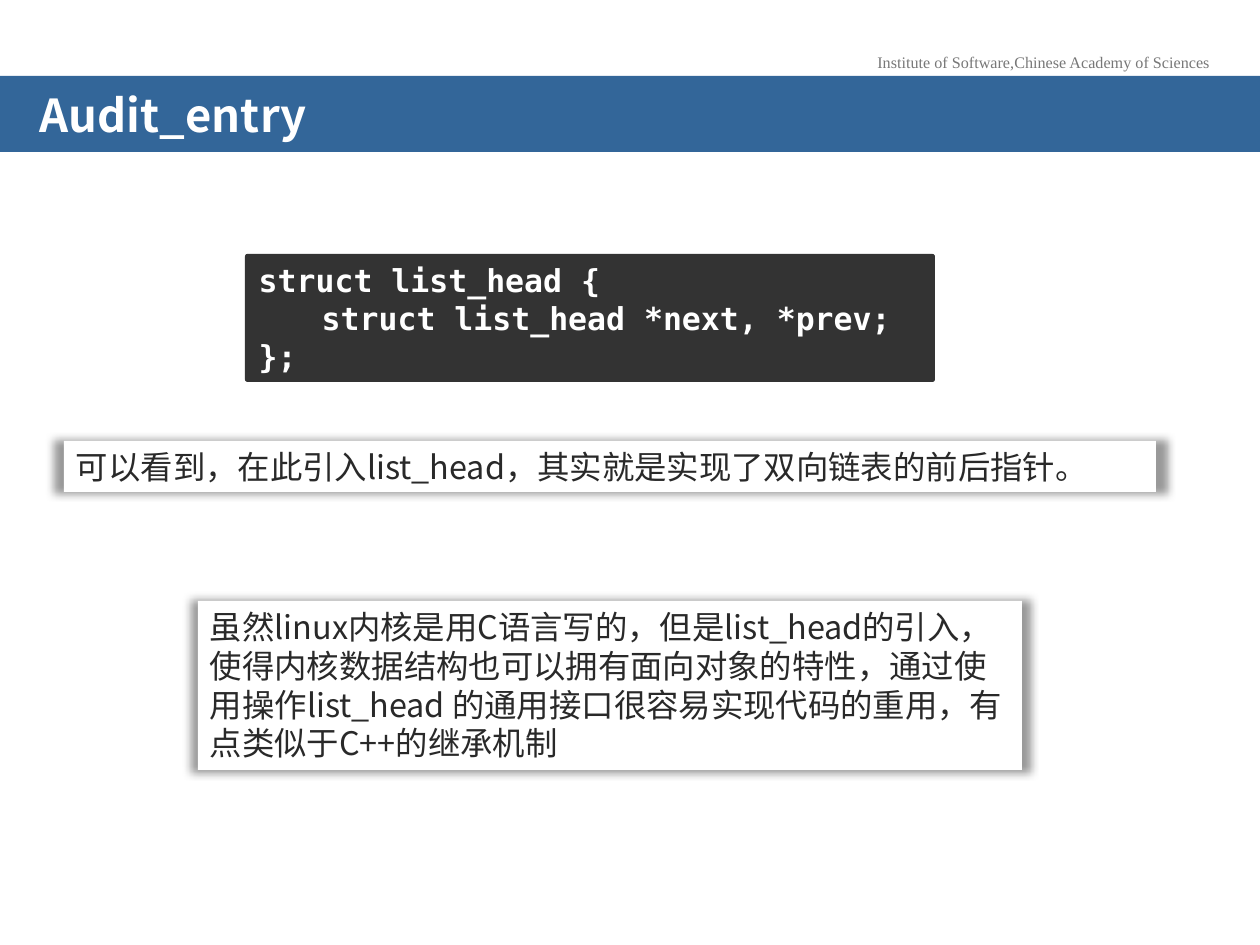
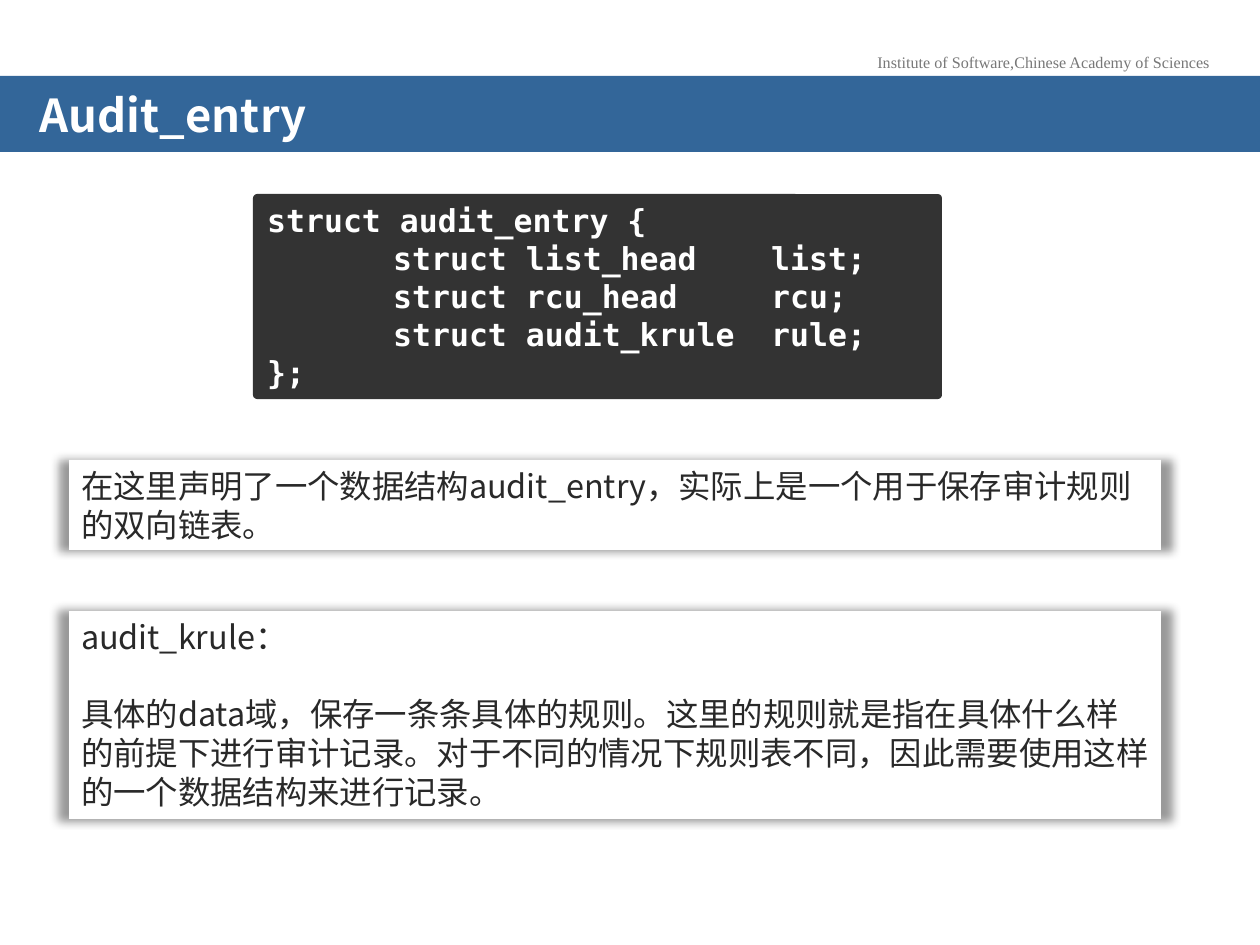
"""Build two slides on the audit_entry and list_head structures."""
from lxml.etree import SubElement as Sub
from pptx import Presentation
from pptx.dml.color import RGBColor as Rgb
from pptx.enum.shapes import MSO_SHAPE as Kind
from pptx.enum.text import MSO_ANCHOR as Anchor, PP_ALIGN as Align
from pptx.oxml.ns import qn
from pptx.util import Pt

PX = 914400 / 126
HUES = {"band": "336699", "code": "333333", "card": "FFFFFF",
        "text": "292929", "light": "FFFFFF", "head": "777777"}
SANS, MONO, SERIF = "Noto Sans CJK SC", "DejaVu Sans Mono", "Times New Roman"
HEAD = "Institute of Software,Chinese Academy of Sciences"
TABS = [126, 504]
SLIDES = [
    {"code": ((245, 254, 690, 128),
              ["struct list_head {",
               "　　struct list_head *next, *prev;",
               "};"]),
     "cards": [
         ((64, 441, 1092, 51),
          ["可以看到，在此引入list_head，其实就是实现了双向链表的前后指针。"]),
         ((198, 601, 824, 169),
          ["虽然linux内核是用C语言写的，但是list_head的引入，"
           "使得内核数据结构也可以拥有面向对象的特性，"
           "通过使用操作list_head 的通用接口很容易实现代码的重用，"
           "有点类似于C++的继承机制"])]},
    {"code": ((253, 194, 689, 205),
              ["struct audit_entry {",
               "\tstruct list_head\tlist;",
               "\tstruct rcu_head\trcu;",
               "\tstruct audit_krule\trule;",
               "};"]),
     "cards": [
         ((69, 460, 1092, 90),
          ["在这里声明了一个数据结构audit_entry，"
           "实际上是一个用于保存审计规则的双向链表。"]),
         ((69, 611, 1092, 208),
          ["audit_krule：",
           "具体的data域，保存一条条具体的规则。"
           "这里的规则就是指在具体什么样的前提下进行审计记录。"
           "对于不同的情况下规则表不同，因此需要使用这样的一个数据结构来进行记录。"])]},
]


def place(shape, box, fill=None):
    """Set the frame of a shape and its plain fill."""
    shape.left, shape.top, shape.width, shape.height = [int(n * PX) for n in box]
    if fill:
        shape.fill.solid()
        shape.fill.fore_color.rgb = Rgb.from_string(HUES[fill])
        shape.line.fill.background()


def write(shape, lines, face, size, hue, pads, bold=False, align=Align.LEFT,
          pitch=None, gap=0, tabs=(), anchor=Anchor.TOP, wrap=True):
    """Fill a shape with paragraphs in one style."""
    frame = shape.text_frame
    frame.word_wrap, frame.vertical_anchor = wrap, anchor
    (frame.margin_left, frame.margin_top,
     frame.margin_right, frame.margin_bottom) = [int(n * PX) for n in pads]
    frame.text = "\n".join(lines)
    for i, para in enumerate(frame.paragraphs):
        para.alignment = align
        para._p.get_or_add_pPr().set("hangingPunct", "0")
        if pitch:
            para.line_spacing = pitch
        if i and gap:
            para.space_before = gap
        if tabs:
            stops = Sub(para._p.get_or_add_pPr(), qn("a:tabLst"))
            for stop in tabs:
                Sub(stops, qn("a:tab"), pos=str(int(stop * PX)), algn="l")
        font = para.font
        font.name, font.size, font.bold = face, Pt(size), bold
        font.color.rgb = Rgb.from_string(HUES[hue])
        Sub(font._element, qn("a:ea"), typeface=face)


deck = Presentation()
deck.slide_width, deck.slide_height = int(1260 * PX), int(945 * PX)

for data in SLIDES:
    slide = deck.slides.add_slide(deck.slide_layouts[5])
    shapes = slide.shapes

    title = shapes.title
    place(title, (0, 76, 1260, 76), "band")
    write(title, ["Audit_entry"], SANS, 25.9, "light", (40, 20, 39, 6),
          bold=True, pitch=0.7, anchor=Anchor.MIDDLE)

    head = shapes.add_textbox(0, 0, 0, 0)
    place(head, (862, 46, 363, 33))
    write(head, [HEAD], SERIF, 9.2, "head", (13, 6, 13, 6),
          align=Align.CENTER, wrap=False)

    box, lines = data["code"]
    code = shapes.add_shape(Kind.ROUNDED_RECTANGLE, 0, 0, 0, 0)
    code.adjustments[0] = 0.02
    code.shadow.inherit = False
    place(code, box, "code")
    write(code, lines, MONO, 18, "light", (13, 6, 13, 6), bold=True,
          pitch=Pt(21.7), tabs=TABS)

    for box, lines in data["cards"]:
        card = shapes.add_shape(Kind.RECTANGLE, 0, 0, 0, 0)
        place(card, box, "card")
        card.shadow.inherit = False
        glow = Sub(card._element.spPr.find(qn("a:effectLst")), qn("a:outerShdw"),
                   blurRad=str(Pt(5)), sx="102000", sy="102000",
                   algn="ctr", rotWithShape="0")
        tint = Sub(glow, qn("a:srgbClr"), val="000000")
        Sub(tint, qn("a:alpha"), val="40000")
        write(card, lines, SANS, 18.5, "text", (12, 6, 11, 6),
              pitch=Pt(22.2), gap=Pt(22))

deck.save("out.pptx")
